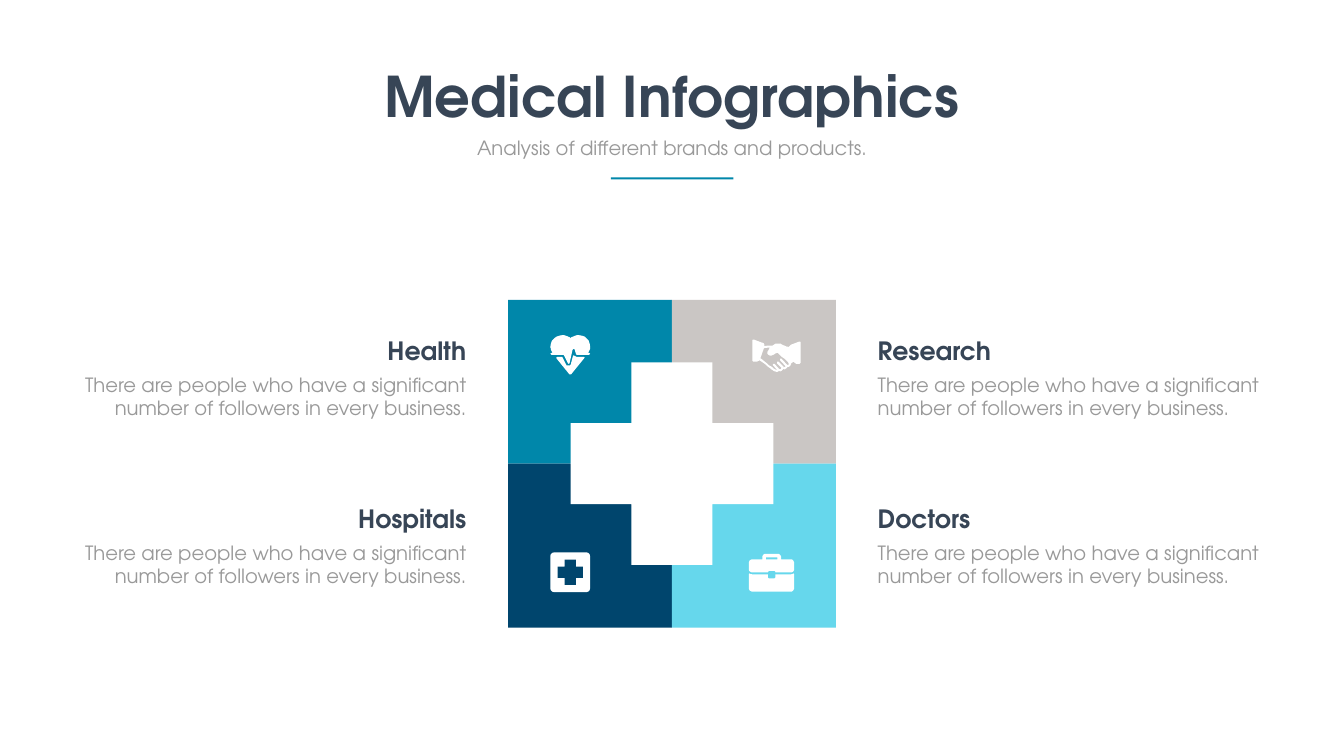
from pptx import Presentation
from pptx import util as u
from pptx.dml.color import RGBColor
from pptx.enum import shapes, text

COLORS = {"teal": "0087AA", "stone": "CAC6C4", "navy": "00456D", "sky": "66D7EC",
          "white": "FFFFFF", "ink": "374556", "grey": "999999"}
FONT = "TeX Gyre Adventor"
FORMATS = {
    "title": ("ink", {"size": u.Pt(80), "bold": True, "name": FONT}),
    "heading": ("ink", {"size": u.Pt(36), "bold": True, "name": FONT}),
    "body": ("grey", {"size": u.Pt(28), "bold": False, "name": FONT}),
}
LEFT, CENTER, RIGHT = text.PP_ALIGN.LEFT, text.PP_ALIGN.CENTER, text.PP_ALIGN.RIGHT
MSO = shapes.MSO_SHAPE

WIDTH, HEIGHT = 67.74, 38.1
MID_X, MID_Y = WIDTH / 2, 23.37
QUARTER, CROSS = 8.26, 10.21
ICON_UNIT = u.Cm(2.54) / 100
BLURB = "There are people who have a significant number of followers in every business."

# Contours in icon units: pairs are corners, six numbers are a Bezier curve.
HEART_TOP = [[
    (77, 35), (75, 35), (78, 32, 79, 27, 79, 23), (79, 10, 69, 0, 56, 0),
    (50, 0, 44, 2, 40, 6), (36, 2, 30, 0, 24, 0), (11, 0, 0, 10, 0, 23),
    (0, 27, 2, 32, 4, 35), (2, 35), (0, 37), (2, 39), (25, 39), (27, 40),
    (35, 56), (36, 57), (38, 56), (44, 29), (46, 27), (48, 28), (51, 38),
    (52, 39), (77, 39), (79, 37)]]
HEART_TIP = [[
    (68, 44), (66, 43), (52, 43), (48, 41), (46, 40), (45, 41), (41, 56),
    (41, 59, 39, 60, 37, 60), (34, 61, 32, 60, 31, 58), (24, 44), (23, 43),
    (14, 43), (12, 44), (12, 46), (38, 78), (41, 78), (67, 46)]]
HANDSHAKE = [[
    (95, 5), (93, 5), (77, 11), (73, 15), (72, 16), (69, 15, 64, 14, 59, 11),
    (52, 7, 47, 8, 40, 13), (30, 13), (24, 14), (24, 11), (23, 9, 21, 7, 19, 7),
    (3, 1), (1, 1), (0, 3), (0, 43), (2, 45), (8, 45), (10, 45, 13, 43, 14, 42),
    (17, 44), (23, 48), (30, 54, 39, 61, 41, 62), (43, 63, 46, 65, 48, 65),
    (49, 65, 51, 65, 53, 63), (54, 64, 56, 64, 58, 63), (59, 62, 61, 61, 61, 59),
    (63, 60, 65, 60, 66, 59), (68, 58, 69, 57, 70, 55), (71, 56, 73, 55, 74, 54),
    (76, 53, 77, 50, 77, 48), (82, 45), (83, 47, 86, 49, 88, 49), (94, 49),
    (96, 47), (96, 7)], [
    (72, 51), (69, 51), (58, 39), (55, 39), (55, 42), (66, 54), (65, 55),
    (63, 56, 62, 56, 62, 55), (52, 45), (49, 45), (49, 48), (58, 57), (56, 60),
    (53, 59), (44, 49), (41, 49), (41, 52), (49, 61), (47, 61, 44, 60, 43, 59),
    (42, 58, 33, 52, 25, 45), (19, 40), (16, 38), (23, 18), (31, 17), (35, 17),
    (33, 19, 30, 24, 30, 27), (30, 29, 31, 31, 33, 32), (36, 33),
    (39, 33, 43, 31, 45, 29), (50, 27), (52, 29, 55, 32, 58, 35),
    (64, 39, 71, 45, 72, 48)]]
CASE_TOP = [[
    (83, 11), (64, 11), (64, 7), (64, 3, 61, 0, 57, 0), (34, 0),
    (30, 0, 27, 3, 27, 7), (27, 11), (8, 11), (4, 11, 0, 14, 0, 19), (0, 30),
    (0, 34, 4, 37, 8, 37), (38, 37), (38, 36), (40, 34), (51, 34), (53, 36),
    (53, 37), (83, 37), (87, 37, 90, 34, 90, 30), (90, 19),
    (90, 14, 87, 11, 83, 11)],
    [(57, 11), (34, 11), (34, 7), (57, 7)]]
CASE_BASE = [[
    (89, 39), (87, 40), (83, 41), (53, 41), (53, 47), (51, 49), (40, 49),
    (38, 47), (38, 41), (8, 41), (3, 40), (1, 39), (0, 41), (0, 67),
    (0, 72, 4, 75, 8, 75), (83, 75), (87, 75, 90, 72, 90, 67), (90, 41)]]


def flatten(contour, steps=6):
    """Return the contour as plain points, each curve cut into short lines."""
    points = [contour[0]]
    for seg in contour[1:]:
        if len(seg) == 2:
            points.append(seg)
            continue
        a, b, c, d = points[-1], seg[:2], seg[2:4], seg[4:]
        for t in (i / steps for i in range(1, steps + 1)):
            s = 1 - t
            points.append(tuple(s**3 * a[k] + 3 * s * s * t * b[k]
                                + 3 * s * t * t * c[k] + t**3 * d[k] for k in (0, 1)))
    return points


class Deck:
    def __init__(self):
        self.prs = Presentation()
        self.prs.slide_width, self.prs.slide_height = u.Cm(WIDTH), u.Cm(HEIGHT)
        self.slide = self.prs.slides.add_slide(self.prs.slide_layouts[0])

    def paint(self, sp, color):
        sp.shadow.inherit = False
        sp.fill.solid()
        sp.fill.fore_color.rgb = RGBColor.from_string(COLORS[color])
        sp.line.fill.background()

    def shape(self, kind, x, y, w, h, color, adjust=None):
        sp = self.slide.shapes.add_shape(kind, *map(u.Cm, (x, y, w, h)))
        if adjust is not None:
            sp.adjustments[0] = adjust
        self.paint(sp, color)

    def icon(self, contours, x, y):
        outlines = [flatten(c) for c in contours]
        builder = self.slide.shapes.build_freeform(*outlines[0][0], scale=ICON_UNIT)
        for i, points in enumerate(outlines):
            if i:
                builder.move_to(*points[0])
            builder.add_line_segments(points[1:], close=True)
        self.paint(builder.convert_to_shape(u.Cm(x), u.Cm(y)), "white")

    def set_text(self, sp, words, role, align, wrap=True):
        tf = sp.text_frame
        tf.word_wrap = wrap
        tf.auto_size = text.MSO_AUTO_SIZE.NONE
        tf.vertical_anchor = text.MSO_ANCHOR.TOP
        p = tf.paragraphs[0]
        p.alignment, p.space_before = align, u.Pt(0)
        r = p.add_run()
        r.text = words
        color, values = FORMATS[role]
        for name, value in values.items():
            setattr(r.font, name, value)
        r.font.color.rgb = RGBColor.from_string(COLORS[color])

    def label(self, words, role, align, x, y, w, h):
        sp = self.slide.shapes.add_textbox(*map(u.Cm, (x, y, w, h)))
        self.set_text(sp, words, role, align)

    def placeholder(self, index, words, role, y, w, h, wrap=True):
        """Fill a template placeholder and centre it across the slide."""
        sp = self.slide.placeholders[index]
        sp.left, sp.top, sp.width, sp.height = map(u.Cm, (MID_X - w / 2, y, w, h))
        self.set_text(sp, words, role, CENTER, wrap)

    def topic(self, heading, align, edge, y):
        """Put a heading over its blurb, both flush with the given edge."""
        for words, role, top, w, h in ((heading, "heading", y, 12.83, 1.8),
                                       (BLURB, "body", y + 1.9, 20.55, 2.64)):
            x = edge - w if align == RIGHT else edge
            self.label(words, role, align, x, top, w, h)


def main():
    deck = Deck()
    deck.placeholder(0, "Medical Infographics", "title", 2.97, 29.82, 3.68, wrap=False)
    deck.placeholder(1, "Analysis of different brands and products.", "body",
                     6.73, 24.28, 1.45)
    deck.shape(MSO.RECTANGLE, MID_X - 3.08, 8.94, 6.17, 0.1, "teal")

    quarters = (("Health", "teal", 0, 0), ("Research", "stone", 1, 0),
                ("Hospitals", "navy", 0, 1), ("Doctors", "sky", 1, 1))
    for heading, color, col, row in quarters:
        deck.shape(MSO.RECTANGLE, MID_X + (col - 1) * QUARTER,
                   MID_Y + (row - 1) * QUARTER, QUARTER, QUARTER, color)
        align, edge = (LEFT, 43.99) if col else (RIGHT, 23.75)
        deck.topic(heading, align, edge, 16.76 + row * 8.46)
    deck.shape(MSO.CROSS, MID_X - CROSS / 2, MID_Y - CROSS / 2, CROSS, CROSS, "white", 0.3)

    for contours, x, y in ((HEART_TOP, 27.74, 16.89), (HEART_TIP, 27.74, 16.89),
                           (HANDSHAKE, 37.92, 17.09),
                           (CASE_TOP, 37.74, 27.91), (CASE_BASE, 37.74, 27.91)):
        deck.icon(contours, x, y)
    deck.shape(MSO.ROUNDED_RECTANGLE, 27.74, 27.84, 2, 2, "white", 0.09)
    deck.shape(MSO.CROSS, 28.1, 28.2, 1.28, 1.28, "navy", 0.28)
    deck.prs.save("out.pptx")


if __name__ == "__main__":
    main()
